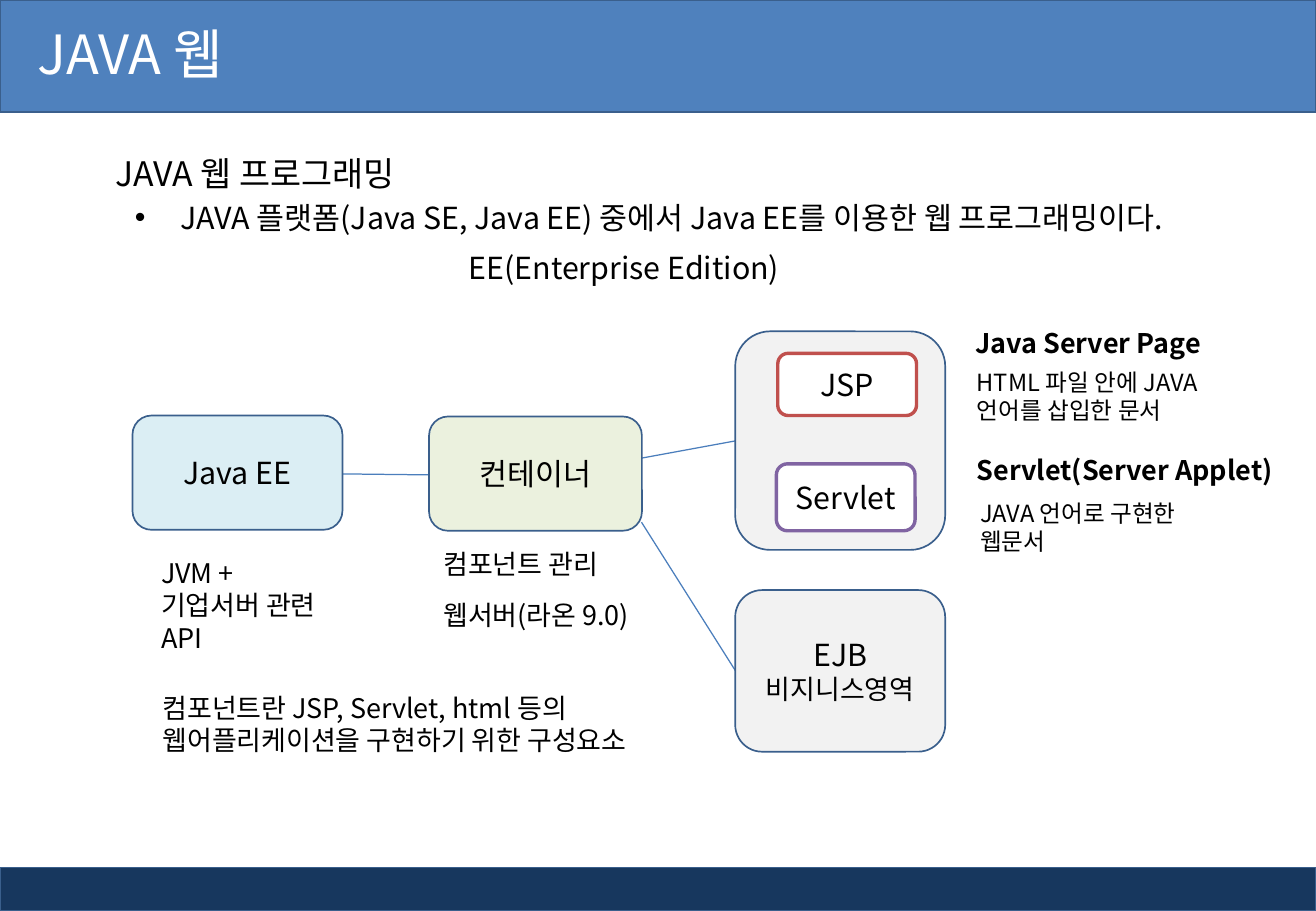
from lxml import etree
from pptx import Presentation
from pptx.dml.color import RGBColor
from pptx.enum.shapes import MSO_CONNECTOR, MSO_SHAPE
from pptx.enum.text import MSO_ANCHOR, MSO_AUTO_SIZE, PP_ALIGN
from pptx.oxml.ns import qn
from pptx.util import Cm, Pt

RECTANGLE, ROUNDED = MSO_SHAPE.RECTANGLE, MSO_SHAPE.ROUNDED_RECTANGLE
STRAIGHT = MSO_CONNECTOR.STRAIGHT
TOP, MIDDLE = MSO_ANCHOR.TOP, MSO_ANCHOR.MIDDLE
LEFT, CENTER = PP_ALIGN.LEFT, PP_ALIGN.CENTER
FIT_TEXT, NO_FIT = MSO_AUTO_SIZE.SHAPE_TO_FIT_TEXT, MSO_AUTO_SIZE.NONE

FONT = "Noto Sans CJK KR"
BLACK = RGBColor(0x00, 0x00, 0x00)
WHITE = RGBColor(0xFF, 0xFF, 0xFF)
NAVY = RGBColor(0x17, 0x37, 0x5E)
BLUE = RGBColor(0x4F, 0x81, 0xBD)
OUTLINE = RGBColor(0x3A, 0x5F, 0x8C)
LINK = RGBColor(0x4B, 0x7E, 0xBC)
PALE_BLUE = RGBColor(0xDB, 0xEE, 0xF4)
PALE_GREEN = RGBColor(0xEB, 0xF1, 0xDE)
PALE_GRAY = RGBColor(0xF2, 0xF2, 0xF2)
RED = RGBColor(0xC0, 0x50, 0x4D)
PURPLE = RGBColor(0x80, 0x64, 0xA2)

SLIDE_WIDTH, SLIDE_HEIGHT = 27.51, 19.05
FOOTER_HEIGHT = 0.91


class SlideBuilder:
    """Holds the text style and the current slide; lengths are in cm."""

    def __init__(self, slide, font):
        self.slide = slide
        self.font = font

    def add_run(self, paragraph, text, size, color=BLACK, bold=False):
        run = paragraph.add_run()
        run.text = text
        run.font.name = self.font
        run.font.size = Pt(size)
        run.font.bold = bold
        run.font.color.rgb = color
        east_asian = etree.SubElement(run.font._element, qn("a:ea"))
        east_asian.set("typeface", self.font)

    def title(self, text, left, top, width, height):
        title = self.slide.shapes.title
        title.left, title.top = Cm(left), Cm(top)
        title.width, title.height = Cm(width), Cm(height)
        frame = title.text_frame
        frame.auto_size = NO_FIT
        frame.vertical_anchor = MIDDLE
        frame.paragraphs[0].alignment = LEFT
        self.add_run(frame.paragraphs[0], text, 32, WHITE)
        # Bring the title in front of the header band
        self.slide.shapes._spTree.append(title._element)

    def box(self, kind, left, top, width, height, fill, lines=(), line=OUTLINE, weight=1):
        """Draw a filled shape; lines is a sequence of (text, size)."""
        shape = self.slide.shapes.add_shape(kind, Cm(left), Cm(top), Cm(width), Cm(height))
        shape.shadow.inherit = False
        shape.fill.solid()
        shape.fill.fore_color.rgb = fill
        shape.line.color.rgb = line
        shape.line.width = Pt(weight)
        frame = shape.text_frame
        frame.vertical_anchor = MIDDLE
        for index, (text, size) in enumerate(lines):
            paragraph = frame.add_paragraph() if index else frame.paragraphs[0]
            paragraph.alignment = CENTER
            self.add_run(paragraph, text, size)

    def text(self, text, left, top, width, height, size, bold=False):
        text_box = self.slide.shapes.add_textbox(Cm(left), Cm(top), Cm(width), Cm(height))
        frame = text_box.text_frame
        frame.word_wrap = True
        frame.auto_size = FIT_TEXT
        frame.vertical_anchor = TOP
        paragraph = frame.paragraphs[0]
        self.add_run(paragraph, text, size, bold=bold)
        return paragraph

    def bullet(self, paragraph, indent):
        properties = paragraph._p.get_or_add_pPr()
        properties.set("marL", str(Cm(indent)))
        properties.set("indent", str(-Cm(indent)))
        etree.SubElement(properties, qn("a:buFont")).set("typeface", "Arial")
        etree.SubElement(properties, qn("a:buChar")).set("char", "•")

    def link(self, start_x, start_y, end_x, end_y):
        connector = self.slide.shapes.add_connector(
            STRAIGHT, Cm(start_x), Cm(start_y), Cm(end_x), Cm(end_y))
        connector.line.color.rgb = LINK
        connector.line.width = Pt(0.75)
        etree.SubElement(connector._element.spPr, qn("a:effectLst"))


def main():
    presentation = Presentation()
    presentation.slide_width = Cm(SLIDE_WIDTH)
    presentation.slide_height = Cm(SLIDE_HEIGHT)
    title_only = presentation.slide_layouts[5]
    builder = SlideBuilder(presentation.slides.add_slide(title_only), FONT)

    # Header and footer bands
    builder.box(RECTANGLE, 0, SLIDE_HEIGHT - FOOTER_HEIGHT, SLIDE_WIDTH, FOOTER_HEIGHT, NAVY)
    builder.box(RECTANGLE, 0, 0, SLIDE_WIDTH, 2.34, BLUE)
    builder.title("JAVA 웹", 0.53, -0.08, 21.67, 2.39)

    # Introduction
    heading = builder.text("JAVA 웹 프로그래밍", 2.16, 2.64, 7.01, 1.37, 20)
    heading.line_spacing = 1.5
    definition = builder.text(
        "JAVA 플랫폼(Java SE, Java EE) 중에서 Java EE를 이용한 웹 프로그래밍이다.",
        2.57, 4.04, 23.19, 1.02, 18)
    builder.bullet(definition, 0.95)
    builder.text("EE(Enterprise Edition)", 9.55, 5.08, 7.39, 1.02, 18)

    # Links between the blocks
    builder.link(7.16, 9.91, 8.97, 9.93)
    builder.link(13.41, 9.58, 15.37, 9.22)
    builder.link(13.41, 10.92, 15.37, 14.02)

    # Platform, container and component blocks
    builder.box(ROUNDED, 2.77, 8.69, 4.39, 2.39, PALE_BLUE, [("Java EE", 18)])
    builder.box(ROUNDED, 8.97, 8.71, 4.45, 2.39, PALE_GREEN, [("컨테이너", 18)])
    builder.box(ROUNDED, 15.37, 6.93, 4.39, 4.57, PALE_GRAY)
    builder.box(ROUNDED, 15.37, 12.34, 4.39, 3.38, PALE_GRAY,
                [("EJB", 18), ("비지니스영역", 16)])
    builder.box(ROUNDED, 16.26, 7.39, 2.9, 1.3, WHITE, [("JSP", 18)], RED, 2)
    builder.box(ROUNDED, 16.23, 9.7, 2.9, 1.4, WHITE, [("Servlet", 18)], PURPLE, 2)

    # Notes under the blocks
    builder.text("JVM + 기업서버 관련 API", 3.12, 11.51, 4.01, 1.63, 16)
    builder.text("컴포넌트 관리", 9.02, 11.33, 4.67, 0.94, 16)
    builder.text("웹서버(라온 9.0)", 9.02, 12.4, 4.67, 0.94, 16)
    builder.text("컴포넌트란 JSP, Servlet, html 등의 웹어플리케이션을 구현하기 위한 구성요소",
                 3.15, 14.33, 11.71, 1.63, 16)

    # Component descriptions
    builder.text("Java Server Page", 20.14, 6.71, 5.61, 0.94, 16, bold=True)
    builder.text("HTML 파일 안에 JAVA 언어를 삽입한 문서", 20.17, 7.57, 5.99, 1.45, 14)
    builder.text("Servlet(Server Applet)", 20.17, 9.37, 7.01, 0.94, 16, bold=True)
    builder.text("JAVA 언어로 구현한 웹문서", 20.24, 10.31, 5, 1.45, 14)

    presentation.save("out.pptx")


if __name__ == "__main__":
    main()
